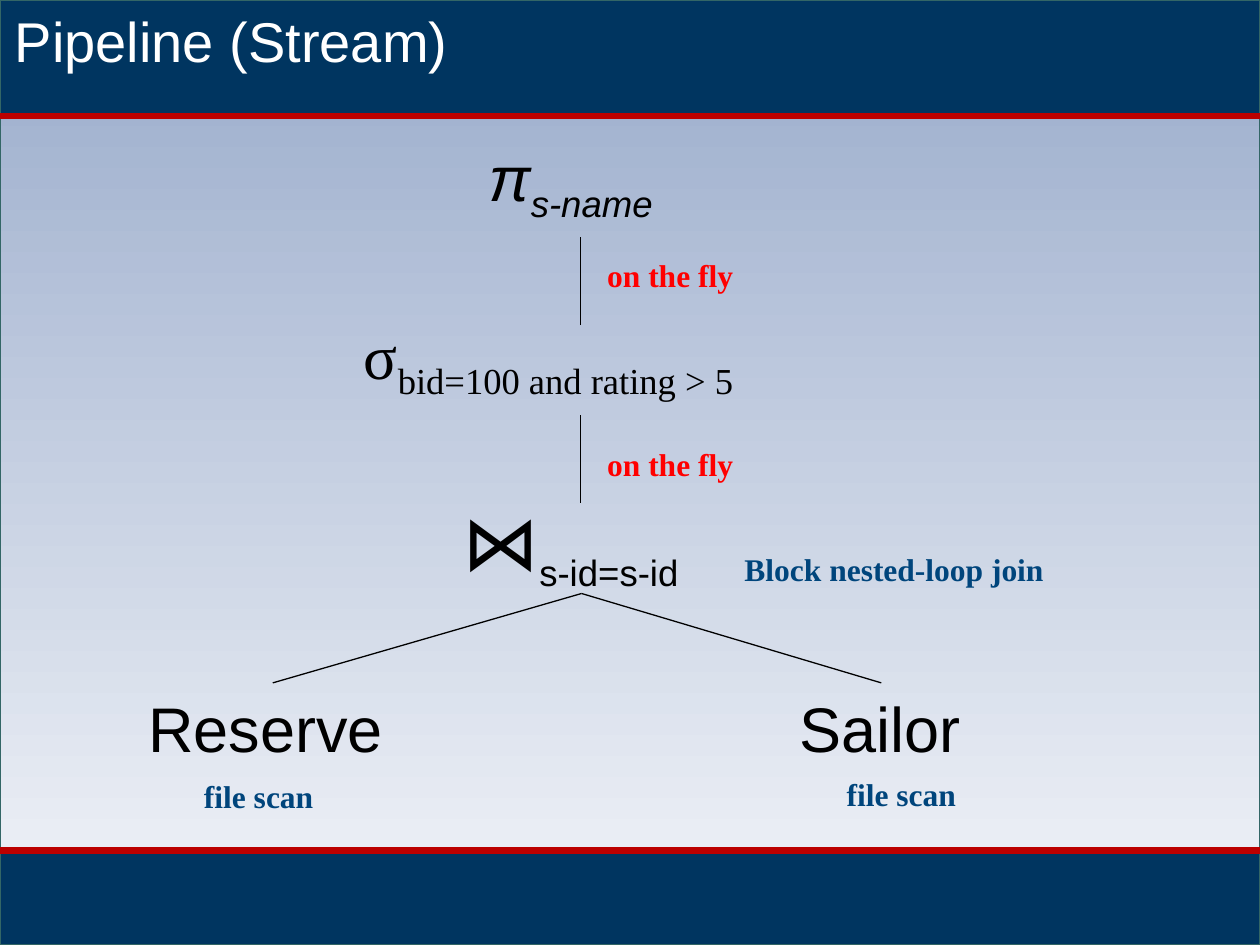
from pptx import Presentation
from pptx.dml.color import RGBColor
from pptx.enum.shapes import MSO_CONNECTOR as CONN, MSO_SHAPE as SHAPE
from pptx.enum.text import MSO_ANCHOR as ANCHOR
from pptx.oxml.ns import qn
from pptx.util import Pt
from lxml.etree import SubElement

NAVY = RGBColor(0x00, 0x35, 0x60)
BLUE = RGBColor(0x00, 0x45, 0x7C)
BORDER = RGBColor(0x33, 0x66, 0x66)
CRIMSON = RGBColor(0xBC, 0x00, 0x00)
RED = RGBColor(0xFF, 0x00, 0x00)
BLACK = RGBColor(0x00, 0x00, 0x00)
WHITE = RGBColor(0xFF, 0xFF, 0xFF)
SKY_TOP = RGBColor(0x99, 0xAB, 0xCB)
SKY_BOTTOM = RGBColor(0xF3, 0xF5, 0xF9)
SANS, SERIF = "Arial", "Times New Roman"
BOTTOM, TOP = 2, 0


def add_rect(s, x, y, w, h):
    """Add a thinly bordered rectangle."""
    sp = s.shapes.add_shape(SHAPE.RECTANGLE, Pt(x), Pt(y), Pt(w), Pt(h))
    sp.shadow.inherit = False
    sp.line.color.rgb = BORDER
    sp.line.width = Pt(0.75)
    return sp


def add_line(s, x1, y1, x2, y2, color=BLACK, width=0.75):
    """Add a straight line without a shadow."""
    line = s.shapes.add_connector(CONN.STRAIGHT, Pt(x1), Pt(y1), Pt(x2), Pt(y2))
    line.line.color.rgb = color
    line.line.width = Pt(width)
    SubElement(line._element.spPr, qn("a:effectLst"))
    return line


def add_text(s, x, y, w, h, runs, font=SANS, color=BLACK, bold=False, italic=False):
    """Add one line of text from (text, size, baseline) runs."""
    sp = s.shapes.add_textbox(Pt(x), Pt(y), Pt(w), Pt(h))
    tf = sp.text_frame
    tf.word_wrap = False
    p = tf.paragraphs[0]
    for text, size, baseline in runs:
        r = p.add_run()
        r.text = text
        r.font.name, r.font.size = font, Pt(size)
        r.font.bold, r.font.italic = bold, italic
        r.font.color.rgb = color
        if baseline:
            r.font._element.set("baseline", str(baseline * 1000))
    return sp


def add_operator(s, x, y, w, h, symbol, condition, size=36, **style):
    """Add an algebra symbol with its subscript condition."""
    return add_text(s, x, y, w, h, [(symbol, size, 0), (condition, 36, -25)], **style)


def add_note(s, x, y, w, text, color):
    """Add a bold execution note."""
    add_text(s, x, y, w, 28.8, [(text, 18, 0)], SERIF, color, bold=True)


def add_frame(s, x, y, w, h):
    """Add the gradient background, the two bands and their red rules."""
    fill = add_rect(s, x, y, w, h).fill
    fill.gradient()
    fill.gradient_angle = 270
    for stop, color in zip(fill.gradient_stops, (SKY_TOP, SKY_BOTTOM)):
        stop.color.rgb = color
    header, footer = 66.24, 54
    rules = (y + header, y + h - footer)
    for top, height in ((rules[1], footer), (y, header)):
        band = add_rect(s, x, top, w, height)
        band.fill.solid()
        band.fill.fore_color.rgb = NAVY
    for rule in rules:
        add_line(s, x, rule, x + w, rule, CRIMSON, 3.75)


def add_title(s, x, y, w, h):
    """Add the slide title."""
    sp = add_text(s, x, y, w, h, [("Pipeline (Stream)", 32, 0)], color=WHITE)
    sp.text_frame.word_wrap = True
    sp.text_frame.vertical_anchor = ANCHOR.MIDDLE


def add_plan(s, x, y, w, h):
    """Add the query plan tree with its execution notes."""
    axis = x + 254.16
    step = 101.52
    add_operator(s, x + 194.4, y, 119.5, 51.12, "π", "s-name", italic=True)
    add_operator(s, x + 123.1, y + step, 262.1, 51.12, "σ",
                 "bid=100 and rating > 5", font=SERIF)
    join = add_operator(s, x + 179.3, y + 2 * step, 150.5, 60.5, "⋈", "s-id=s-id", 44)
    leaves = (("Reserve", 0, 156.2, 31.7, 365), ("Sailor", 372.2, 107.3, 398.9, 363.6))
    for name, left, width, note_left, note_top in leaves:
        leaf = add_text(s, x + left, y + h - 79.2, width, 51.12, [(name, 36, 0)])
        branch = add_line(s, axis, y, axis, y)
        branch.begin_connect(leaf, TOP)
        branch.end_connect(join, BOTTOM)
        add_note(s, x + note_left, y + note_top, 77.8, "file scan", BLUE)
    for level, note_top in enumerate((67, 175)):
        top = y + 59.76 + level * step
        add_line(s, axis, top + 50.4, axis, top)
        add_note(s, x + 262.1, y + note_top, 87.1, "on the fly", RED)
    add_note(s, x + 340.6, y + 235.4, 187.2, "Block nested-loop join", BLUE)


def main():
    """Build and save the slide."""
    prs = Presentation()
    prs.slide_width, prs.slide_height = Pt(720), Pt(540)
    s = prs.slides.add_slide(prs.slide_layouts[6])
    add_frame(s, 0, 0, 720, 540)
    add_title(s, 1.44, 0, 718.56, 46.08)
    add_plan(s, 77.76, 75.6, 527.8, 393.84)
    prs.save("out.pptx")


if __name__ == "__main__":
    main()
